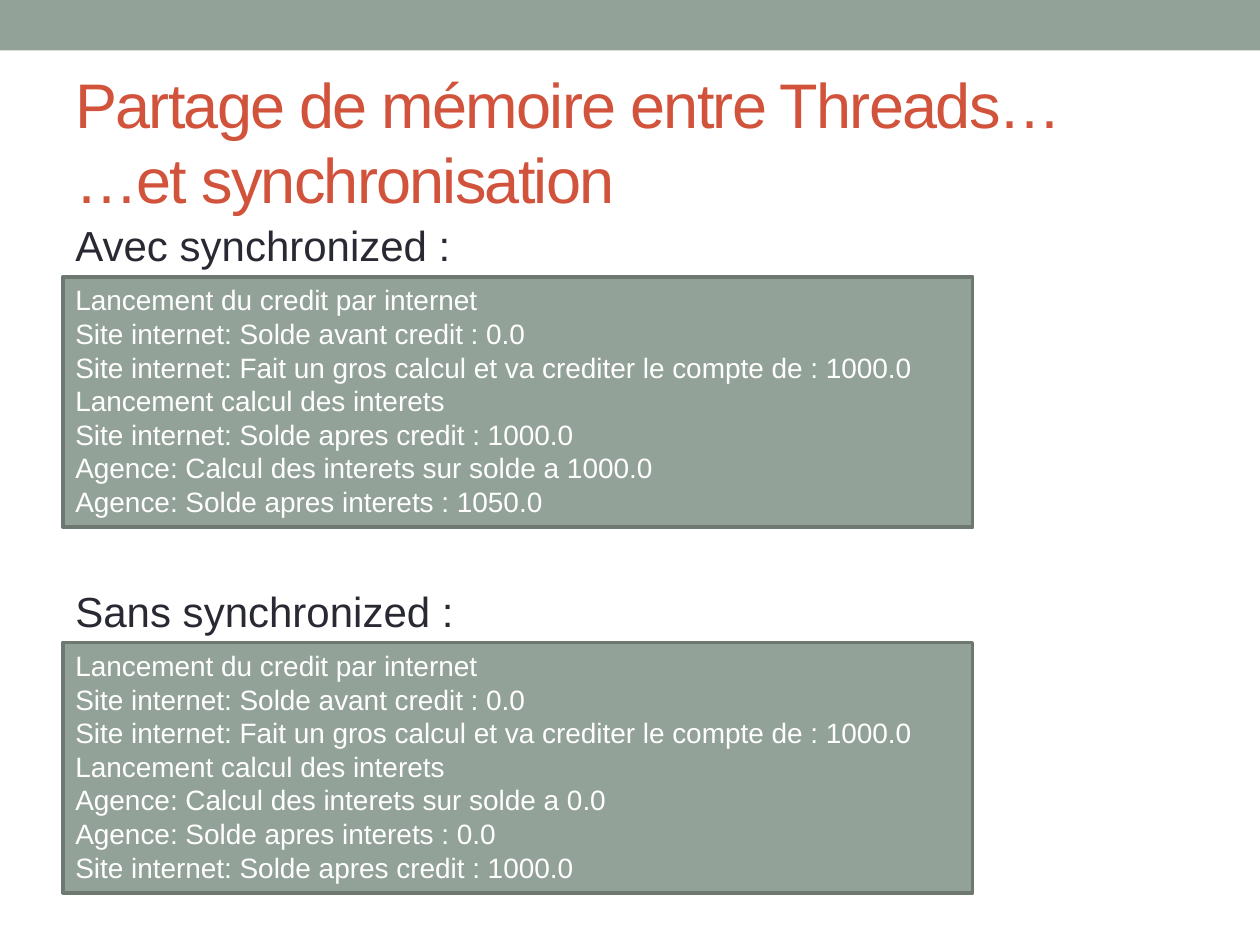
import pptx
import pptx.dml.color
import pptx.enum.shapes
import pptx.enum.text
import pptx.oxml.ns
import pptx.util
from pptx.util import Cm

SAGE = "93A299"
SHARED_LINES = [
    "Lancement du credit par internet",
    "Site internet: Solde avant credit : 0.0",
    "Site internet: Fait un gros calcul et va crediter le compte de : 1000.0",
    "Lancement calcul des interets",
]
RUNS = [
    ("Avec synchronized :", [
        "Site internet: Solde apres credit : 1000.0",
        "Agence: Calcul des interets sur solde a 1000.0",
        "Agence: Solde apres interets : 1050.0",
    ]),
    ("Sans synchronized :", [
        "Agence: Calcul des interets sur solde a 0.0",
        "Agence: Solde apres interets : 0.0",
        "Site internet: Solde apres credit : 1000.0",
    ]),
]


def rgb(code):
    """Return the colour for a hex string."""
    return pptx.dml.color.RGBColor.from_string(code)


def add_span(para, text, size, color):
    """Add one Arial run to a paragraph."""
    span = para.add_run()
    span.text = text
    span.font.name = "Arial"
    span.font.size = pptx.util.Pt(size)
    span.font.color.rgb = rgb(color)


def add_rectangle(page, left, top, width, height):
    """Add a sage rectangle without line or shadow."""
    box = page.shapes.add_shape(
        pptx.enum.shapes.MSO_SHAPE.RECTANGLE, left, top, width, height)
    box.shadow.inherit = False
    box.fill.solid()
    box.fill.fore_color.rgb = rgb(SAGE)
    box.line.fill.background()
    return box


def add_title(page, left, top, width, height):
    """Place the two-line title with tightened letters."""
    box = page.shapes.add_textbox(left, top, width, height)
    frame = box.text_frame
    frame.word_wrap = True
    frame.vertical_anchor = pptx.enum.text.MSO_ANCHOR.MIDDLE
    para = frame.paragraphs[0]
    add_span(para, "Partage de mémoire entre Threads…", 36, "D2533C")
    para.add_line_break()
    add_span(para, "…et synchronisation", 36, "D2533C")
    for properties in box.element.iter(pptx.oxml.ns.qn("a:rPr")):
        properties.set("spc", "-100")


def add_output(page, left, top, width, heading, lines):
    """Place a heading and, below it, the console output panel."""
    label = page.shapes.add_textbox(left, top, Cm(8.2), Cm(1.27))
    label.text_frame.word_wrap = False
    add_span(label.text_frame.paragraphs[0], heading, 24, "292934")

    panel = add_rectangle(page, left, top + Cm(1.28), width, Cm(5.05))
    panel.line.color.rgb = rgb("6D7871")
    panel.line.width = pptx.util.Pt(2.08)
    frame = panel.text_frame
    frame.word_wrap = True
    frame.vertical_anchor = pptx.enum.text.MSO_ANCHOR.TOP
    for index, line in enumerate(lines):
        para = frame.add_paragraph() if index else frame.paragraphs[0]
        para.alignment = pptx.enum.text.PP_ALIGN.LEFT
        add_span(para, line, 16, "FFFFFF")


def main():
    """Build and save the slide."""
    deck = pptx.Presentation()
    deck.slide_width, deck.slide_height = Cm(25.4), Cm(19.05)
    page = deck.slides.add_slide(deck.slide_layouts[6])
    left = Cm(1.27)
    add_rectangle(page, 0, 0, deck.slide_width, Cm(1.02))
    add_title(page, left, Cm(1.47), Cm(22.86), Cm(2.74))
    for index, (heading, ending) in enumerate(RUNS):
        top = Cm(4.3 + index * 7.37)
        add_output(page, left, top, Cm(18.34), heading, SHARED_LINES + ending)
    deck.save("out.pptx")


if __name__ == "__main__":
    main()
